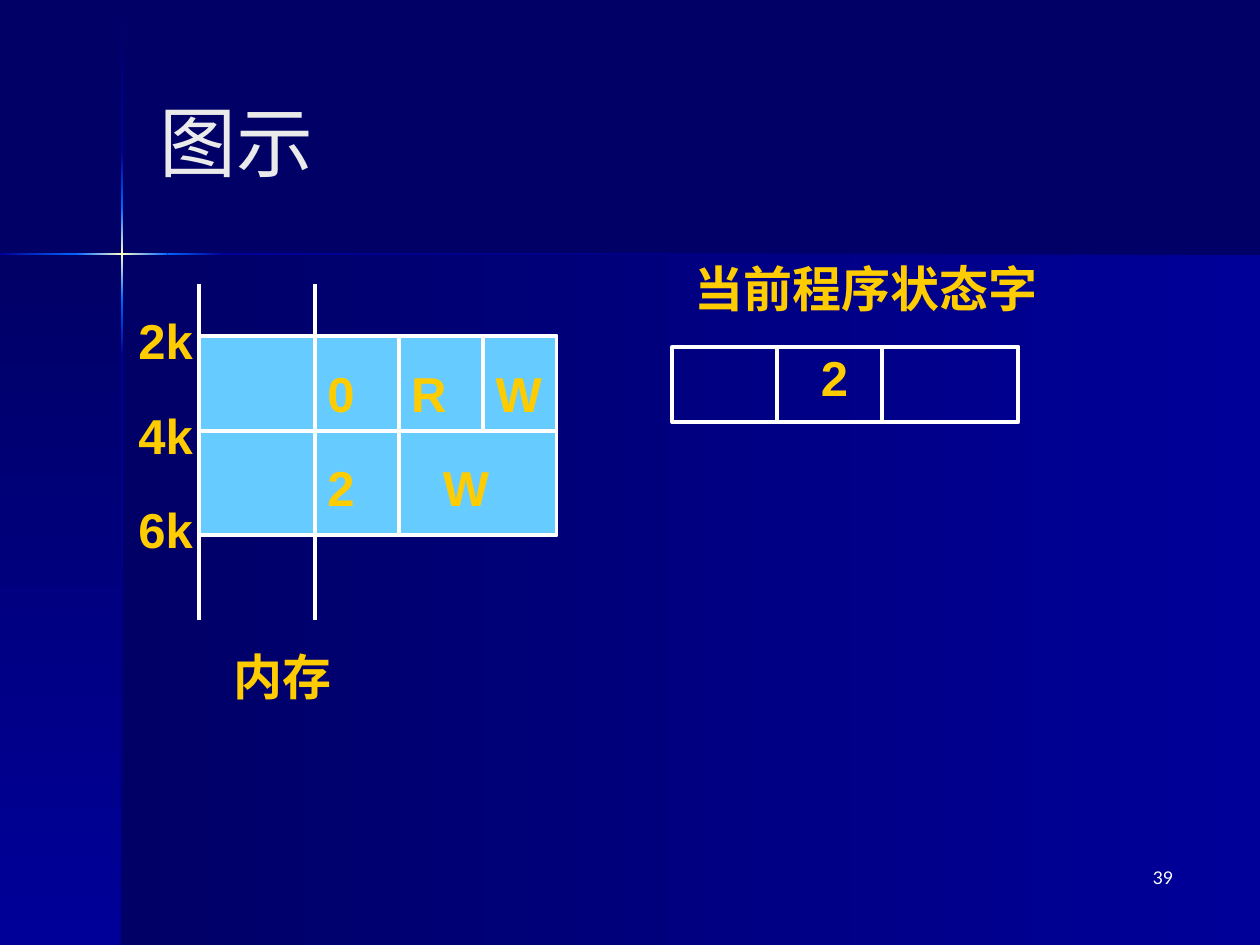
"""Build the slide showing protection keys in memory and the program status word."""
from copy import deepcopy

from lxml import etree
from pptx import Presentation
from pptx import util as u
from pptx.dml.color import RGBColor
from pptx.enum import shapes, text
from pptx.oxml import ns

NAVY = RGBColor(0x00, 0x00, 0x66)
BLUE = RGBColor(0x00, 0x00, 0x99)
BRIGHT = RGBColor(0x00, 0x66, 0xFF)
CREAM = RGBColor(0xFF, 0xFF, 0xCC)
SKY = RGBColor(0x66, 0xCC, 0xFF)
GOLD = RGBColor(0xFF, 0xCC, 0x00)
WHITE = RGBColor(0xFF, 0xFF, 0xFF)
PALE = RGBColor(0xEA, 0xEA, 0xEA)
ACROSS, DOWN = 0, 270

deck = Presentation()
deck.slide_width, deck.slide_height = u.Cm(25.4), u.Cm(19.05)
slide = deck.slides.add_slide(deck.slide_layouts[6])
slide.background.fill.solid()
slide.background.fill.fore_color.rgb = NAVY


def add_block(left, top, width, height):
    block = slide.shapes.add_shape(
        shapes.MSO_SHAPE.RECTANGLE, u.Cm(left), u.Cm(top), u.Cm(width), u.Cm(height))
    block.shadow.inherit = False
    return block


def add_label(words, left, top, width, height, size=28, color=GOLD, font="Arial", bold=True):
    label = slide.shapes.add_textbox(u.Cm(left), u.Cm(top), u.Cm(width), u.Cm(height))
    frame = label.text_frame
    frame.word_wrap = True
    frame.text = words
    face = frame.paragraphs[0].runs[0].font
    face.name, face.size, face.bold = font, u.Pt(size), bold
    face.color.rgb = color
    return frame


gradients = [
    (2.46, 5.13, 22.94, 13.92, ACROSS, [NAVY, BLUE]),
    (0, 5.13, 2.46, 13.92, DOWN, [NAVY, BLUE]),
    (2.44, 0.03, 0.05, 3.04, DOWN, [NAVY, BLUE]),
    (2.44, 7.16, 0.05, 11.89, DOWN, [BLUE, NAVY]),
    (4.5, 5.1, 20.9, 0.05, ACROSS, [BLUE, NAVY]),
    (2.44, 6.04, 0.05, 1.12, DOWN, [BRIGHT, BLUE]),
    (2.44, 3.07, 0.05, 1.12, DOWN, [BLUE, BRIGHT]),
    (2.44, 4.19, 0.05, 1.85, DOWN, [BRIGHT, CREAM, BRIGHT]),
    (0, 5.1, 1.53, 0.05, ACROSS, [BLUE, BRIGHT]),
    (3.38, 5.1, 1.12, 0.05, ACROSS, [BRIGHT, BLUE]),
    (1.53, 5.1, 1.85, 0.05, ACROSS, [BRIGHT, CREAM, BRIGHT]),
]
for left, top, width, height, direction, colors in gradients:
    band = add_block(left, top, width, height)
    band.line.fill.background()
    band.fill.gradient()
    band.fill.gradient_angle = direction
    stops = band._element.spPr.find(".//" + ns.qn("a:gsLst"))
    if len(colors) == 3:
        stops.insert(1, deepcopy(stops[0]))
    for index, (stop, color) in enumerate(zip(band.fill.gradient_stops, colors)):
        stop.position = index / (len(colors) - 1)
        stop.color.rgb = color

page_number = add_label("39", 18.62, 17.35, 5.28, 1.27, 10, WHITE, "Lato", False)
page_number.paragraphs[0].alignment = text.PP_ALIGN.RIGHT
title = add_label("图示", 2.97, 0.84, 20.96, 3.99, 44, PALE, "Lato", False)
title.vertical_anchor = text.MSO_ANCHOR.MIDDLE

memory = add_block(4.02, 6.77, 7.2, 4.02)
memory.fill.solid()
memory.fill.fore_color.rgb = SKY
status_word = add_block(13.55, 6.99, 6.98, 1.52)
status_word.fill.background()
for outline in (memory.line, status_word.line):
    outline.color.rgb = WHITE
    outline.width = u.Pt(2.25)

rules = [
    (4.02, 5.72, 4.02, 12.49, 2.25),
    (6.35, 5.72, 6.35, 12.49, 2.25),
    (8.04, 6.77, 8.04, 10.8, 2.25),
    (4.02, 8.68, 11.22, 8.68, 2.25),
    (9.74, 6.77, 9.74, 8.68, 2.25),
    (15.66, 6.99, 15.66, 8.47, 2.25),
    (17.78, 6.99, 17.78, 8.47, 2.25),
    (20.53, 6.99, 20.53, 8.05, 0.75),
]
for x1, y1, x2, y2, weight in rules:
    rule = slide.shapes.add_connector(
        shapes.MSO_CONNECTOR.STRAIGHT, u.Cm(x1), u.Cm(y1), u.Cm(x2), u.Cm(y2))
    rule.line.color.rgb = WHITE
    rule.line.width = u.Pt(weight)
    etree.SubElement(rule._element.spPr, ns.qn("a:effectLst"))

for row, address in enumerate(["2k", "4k", "6k"]):
    add_label(address, 2.54, 6.14 + row * 1.905, 1.7, 1.45)

memory_keys = [("0", 6.35, 0), ("2", 6.35, 1), ("R", 8.04, 0), ("W", 9.74, 0), ("W", 8.68, 1)]
for key, left, row in memory_keys:
    add_label(key, left, 7.2 + row * 1.905, 1.7, 1.45)

add_label("内存", 4.45, 12.91, 2.75, 1.45)
add_label("当前程序状态字", 13.76, 5.08, 8.04, 1.45)
add_label("2", 16.3, 6.89, 0.85, 2.63)

deck.save("out.pptx")
